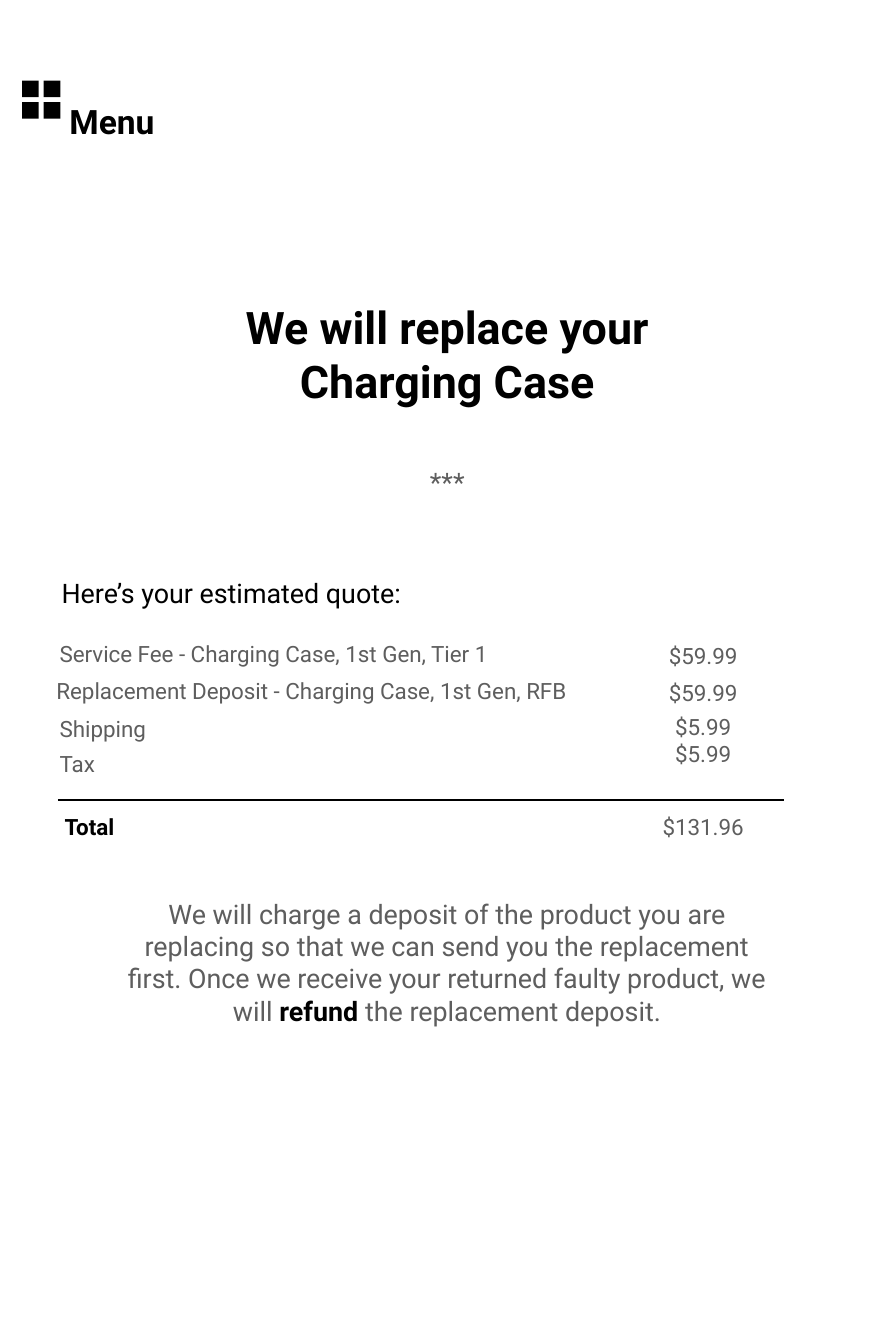
from lxml import etree
from pptx import Presentation
from pptx.dml.color import RGBColor
from pptx.enum.shapes import MSO_CONNECTOR
from pptx.enum.text import MSO_ANCHOR, MSO_AUTO_SIZE, PP_ALIGN
from pptx.oxml.ns import qn
from pptx.util import Cm, Pt

PAGE_WIDTH, PAGE_HEIGHT = Cm(127) // 9, Cm(127) // 6
BLACK, GREY = "000000", "5E5E5E"
QUOTE_ROWS = [
    ("Service Fee - Charging Case, 1st Gen, Tier 1", "$59.99", 0.05, 0.99, 1.01, 7.11),
    ("Replacement Deposit - Charging Case, 1st Gen, RFB", "$59.99", 0, 1.57, 1.6, 8.56),
    ("Shipping", "$5.99", 0.05, 2.16, 2.13, 1.5),
    ("Tax", "$5.99", 0.05, 2.72, 2.56, 0.64),
    ("Total", "$131.96", 0.13, 3.71, 3.71, 0.91),
]


def color(hex_value):
    """Turn a hex string into a colour."""
    return RGBColor.from_string(hex_value)


def style_font(font, size, hex_value, bold=False):
    """Set the typeface, size, weight and colour of a font."""
    font.name, font.size, font.bold = "Roboto", Pt(size), bold
    font.color.rgb = color(hex_value)


def place_frame(shape, left, top, width, height):
    """Move a text shape and return its frame with the page's margins."""
    shape.left, shape.top, shape.width, shape.height = map(Cm, (left, top, width, height))
    frame = shape.text_frame
    frame.word_wrap = True
    frame.auto_size = MSO_AUTO_SIZE.NONE
    frame.vertical_anchor = MSO_ANCHOR.MIDDLE
    frame.margin_left = frame.margin_right = Cm(0.03)
    frame.margin_top = frame.margin_bottom = Cm(0.03)
    return frame


def add_text(slide, text, box, size, hex_value=GREY, bold=False, align=PP_ALIGN.CENTER):
    """Add a one-paragraph text box and return the paragraph."""
    frame = place_frame(slide.shapes.add_textbox(0, 0, 0, 0), *box)
    paragraph = frame.paragraphs[0]
    paragraph.text, paragraph.alignment = text, align
    style_font(paragraph.font, size, hex_value, bold)
    return paragraph


def add_menu(slide, left, top, width, height):
    """Draw the four-square menu icon and its label."""
    side, pitch = Cm(0.26), Cm(0.34)
    icon_left, icon_top = Cm(left + 0.07), Cm(top + 0.03)
    corners = [(icon_left + column * pitch, icon_top + row * pitch)
               for column in range(2) for row in range(2)]
    builder = slide.shapes.build_freeform(*corners[0])
    for x, y in corners:
        builder.move_to(x, y)
        builder.add_line_segments([(x + side, y), (x + side, y + side), (x, y + side)])
    icon = builder.convert_to_shape()
    icon.fill.solid()
    icon.fill.fore_color.rgb = color(BLACK)
    icon.line.fill.background()
    icon.shadow.inherit = False
    add_text(slide, "Menu", (left, top, width, height), 15, BLACK, True)


def add_heading(slide, left, top, width, height):
    """Fill the title and set the asterisks below it."""
    frame = place_frame(slide.shapes.title, left, top, width, height)
    heading = frame.paragraphs[0]
    heading.text, heading.alignment = "We will replace your Charging Case", PP_ALIGN.CENTER
    style_font(heading.font, 20, BLACK, True)
    add_text(slide, "***", (left, top + 2.65, width, 0.53), 12)


def add_quote(slide, left, top, width):
    """List the quoted fees, the rule and the total."""
    add_text(slide, "Here’s your estimated quote:", (left + 0.08, top, 5.54, 0.53),
             12, BLACK, align=PP_ALIGN.LEFT)
    for label, price, indent, label_top, price_top, label_width in QUOTE_ROWS:
        is_total = label == "Total"
        add_text(slide, label, (left + indent, top + label_top, label_width, 0.48),
                 10, BLACK if is_total else GREY, is_total, PP_ALIGN.LEFT)
        add_text(slide, price, (left + width - 1.95, top + price_top, 1.37, 0.48), 10)
    rule = slide.shapes.add_connector(MSO_CONNECTOR.STRAIGHT, Cm(left + 0.05), Cm(top + 3.53),
                                      Cm(left + width), Cm(top + 3.53))
    rule.line.color.rgb = color(BLACK)
    rule.line.width = Pt(0.75)
    etree.SubElement(rule.element.spPr, qn("a:effectLst"))


def add_deposit_note(slide, *box):
    """Explain the deposit with the refund stressed."""
    note = add_text(slide, "", box, 12)
    for text, is_key in [
        ("We will charge a deposit of the product you are replacing so that we can send you "
         "the replacement first. Once we receive your returned faulty product, we will ", False),
        ("refund", True),
        (" the replacement deposit.", False),
    ]:
        run = note.add_run()
        run.text = text
        style_font(run.font, 12, BLACK if is_key else GREY, is_key)


def main():
    """Build and save the quote page."""
    deck = Presentation()
    deck.slide_width, deck.slide_height = PAGE_WIDTH, PAGE_HEIGHT
    slide = deck.slides.add_slide(deck.slide_layouts.get_by_name("Title Only"))
    add_menu(slide, 0.28, 1.24, 2.97, 1.32)
    add_heading(slide, 2.84, 4.67, 8.41, 1.8)
    add_quote(slide, 0.86, 9.07, 11.48)
    add_deposit_note(slide, 1.8, 14.12, 10.49, 2.06)
    deck.save("out.pptx")


if __name__ == "__main__":
    main()
